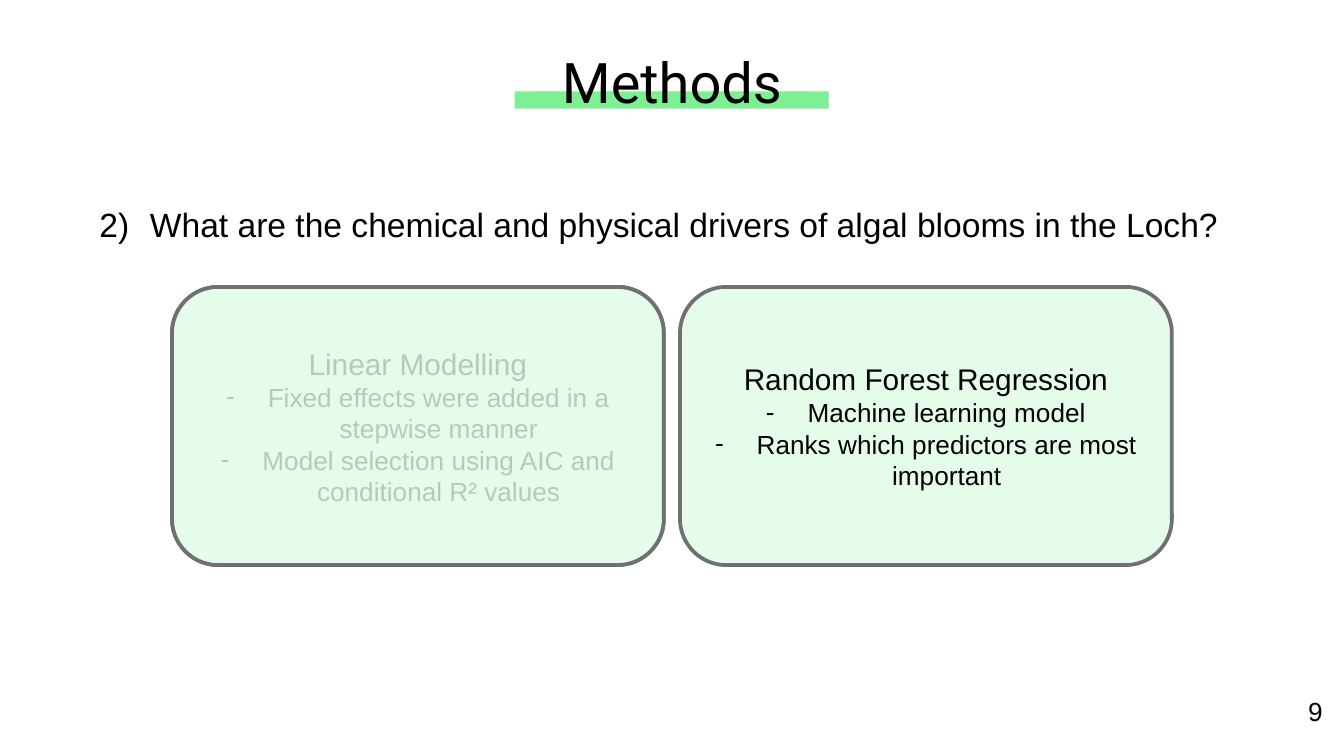
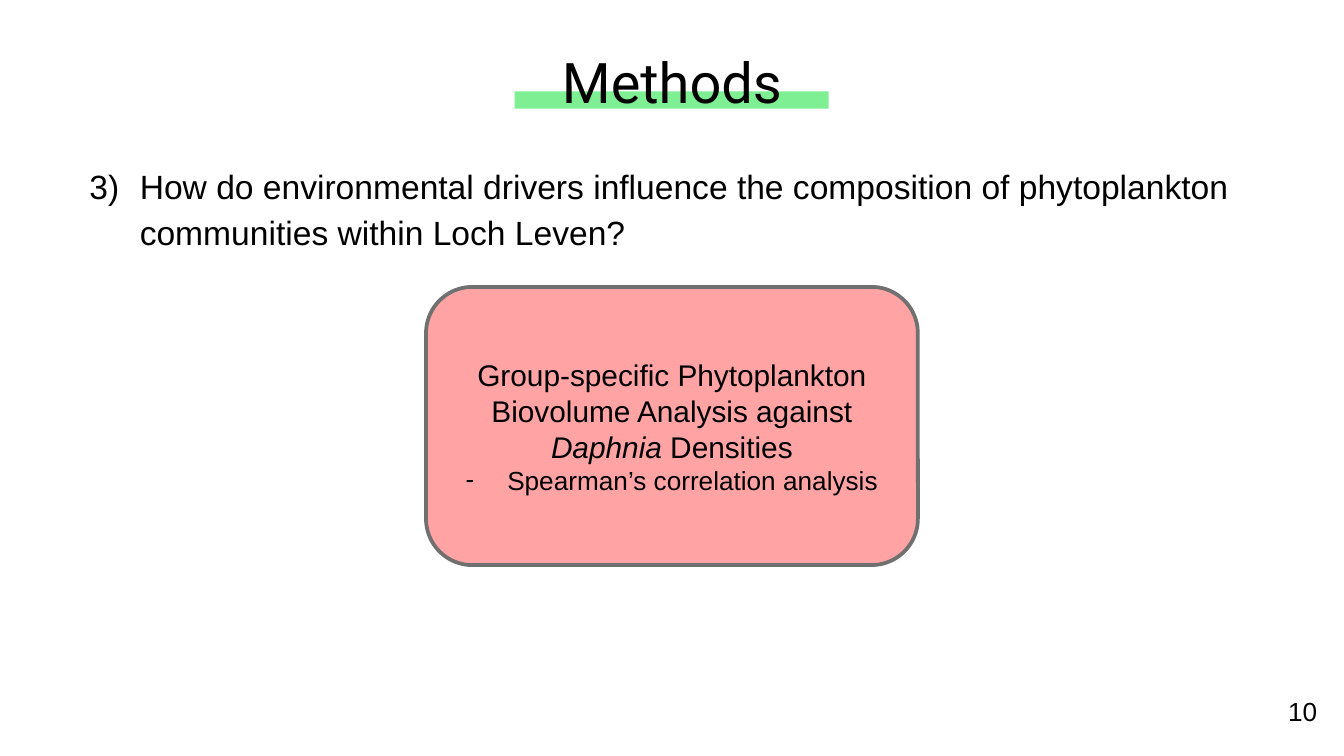
"""Build the two Methods slides on research questions 2 and 3."""
from lxml.etree import SubElement
from pptx import Presentation
from pptx.dml.color import RGBColor
from pptx.enum.shapes import MSO_SHAPE as Shape
from pptx.enum.text import MSO_ANCHOR as Anchor, MSO_AUTO_SIZE as AutoSize, PP_ALIGN as Align
from pptx.oxml.ns import qn
from pptx.util import Pt

PX = 4572
BLACK, BAR, GREEN, RED, GREY = "000000", "7FEF94", "E5FCEA", "FF7C80", "707070"
CARD_TOP, CARD_WIDTH, CARD_HEIGHT = 427, 732, 414
hex_color = RGBColor.from_string


def write(frame, text, size=14, font="Arial", color=BLACK, align=Align.CENTER,
          indent=0, bullet=None, start=None, spacing=None, after=0):
    """Add a paragraph; parts between asterisks are italic."""
    para = frame.paragraphs[0] if not frame.text else frame.add_paragraph()
    para.alignment, para.line_spacing = align, spacing
    para.space_before, para.space_after = Pt(0), Pt(after)
    props = para._p.get_or_add_pPr()
    props.set("marL", str(indent * PX))
    props.set("indent", str(-indent * PX))
    if bullet or start:
        tint = SubElement(props, qn("a:buClr"))
        SubElement(tint, qn("a:srgbClr"), val=color)
        SubElement(props, qn("a:buFont"), typeface=font)
        if bullet:
            SubElement(props, qn("a:buChar"), char=bullet)
        else:
            SubElement(props, qn("a:buAutoNum"), type="arabicParenR", startAt=str(start))
    else:
        SubElement(props, qn("a:buNone"))
    for position, part in enumerate(text.split("*")):
        span = para.add_run()
        span.text = part
        span.font.size, span.font.name = Pt(size), font
        span.font.color.rgb = hex_color(color)
        span.font.italic = position % 2 == 1


def add_block(page, kind, bounds, fill, opacity=100, outline=None):
    """Add a filled shape with optional outline and transparency."""
    block = page.shapes.add_shape(kind, *[length * PX for length in bounds])
    block.shadow.inherit = False
    block.fill.solid()
    block.fill.fore_color.rgb = hex_color(fill)
    if opacity < 100:
        tint = block._element.spPr.find(qn("a:solidFill")).find(qn("a:srgbClr"))
        SubElement(tint, qn("a:alpha"), val=str(opacity * 1000))
    if outline:
        block.line.color.rgb = hex_color(outline)
        block.line.width = Pt(2)
    else:
        block.line.fill.background()
    return block


pages = [
    {"number": 9, "number_left": 1924, "number_width": 67, "start": 2,
     "question": "What are the chemical and physical drivers of algal blooms in the Loch?",
     "question_bounds": (128, 284, 1744, 84),
     "cards": [
         (1012, GREEN, 100, "Random Forest Regression",
          ["Machine learning model", "Ranks which predictors are most important"]),
         (256, GREEN, 100, "Linear Modelling",
          ["Fixed effects were added in a stepwise manner",
           "Model selection using AIC and conditional R² values"]),
         (256, GREEN, 80, None, []),
     ]},
    {"number": 10, "number_left": 1886, "number_width": 105, "start": 3,
     "question": "How do environmental drivers influence the composition of "
                 "phytoplankton communities within Loch Leven?",
     "question_bounds": (113, 228, 1773, 154),
     "cards": [
         (634, RED, 70,
          "Group-specific Phytoplankton Biovolume Analysis against *Daphnia* Densities",
          ["Spearman’s correlation analysis"]),
     ]},
]

deck = Presentation()
deck.slide_width, deck.slide_height = 2000 * PX, 1125 * PX

for content in pages:
    page = deck.slides.add_slide(deck.slide_layouts[1])
    bar = add_block(page, Shape.RECTANGLE, (766, 136, 467, 26), BAR)
    page.shapes._spTree.insert(2, bar._element)

    title, question = page.placeholders
    for box, bounds in ((title, (158, 51, 1684, 132)), (question, content["question_bounds"])):
        box.left, box.top, box.width, box.height = [length * PX for length in bounds]
        box.text_frame.word_wrap = True
        box.text_frame.auto_size = AutoSize.NONE
        box.text_frame.vertical_anchor = Anchor.TOP
    title.text_frame.margin_top = title.text_frame.margin_bottom = 20 * PX
    write(title.text_frame, "Methods", size=30, font="Roboto")
    write(question.text_frame, content["question"], size=18, align=Align.LEFT,
          indent=75, start=content["start"], spacing=1.15, after=8)

    for left, fill, opacity, heading, points in content["cards"]:
        card = add_block(page, Shape.ROUNDED_RECTANGLE,
                         (left, CARD_TOP, CARD_WIDTH, CARD_HEIGHT), fill, opacity, GREY)
        if heading:
            card.text_frame.word_wrap = True
            card.text_frame.vertical_anchor = Anchor.MIDDLE
            write(card.text_frame, heading, size=16)
        for point in points:
            write(card.text_frame, point, indent=62, bullet="-")

    number = page.shapes.add_textbox(content["number_left"] * PX, 1025 * PX,
                                     content["number_width"] * PX, 67 * PX)
    number.text_frame.word_wrap = True
    write(number.text_frame, str(content["number"]))

deck.save("out.pptx")
